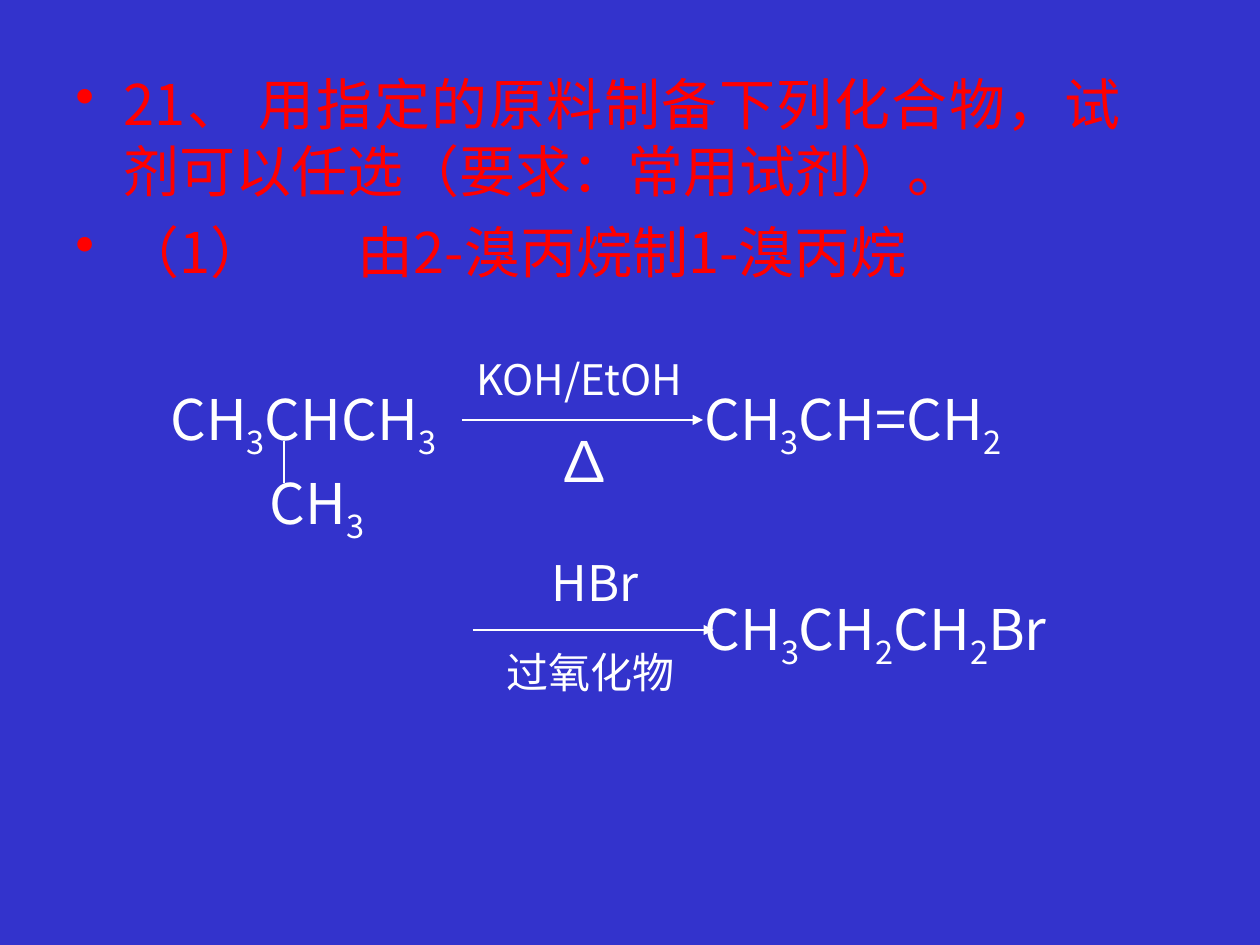
"""Build a slide on preparing 1-bromopropane from 2-bromopropane."""
import itertools

import pptx
import pptx.dml.color
import pptx.enum.shapes
import pptx.enum.text
import pptx.oxml
import pptx.oxml.ns
import pptx.util

EMU_PER_PX = 914400 / 126
BLUE = pptx.dml.color.RGBColor(0x33, 0x33, 0xCC)
RED = pptx.dml.color.RGBColor(0xFF, 0x00, 0x00)
WHITE = pptx.dml.color.RGBColor(0xFF, 0xFF, 0xFF)
FONT_NAME = "Noto Sans CJK SC"
BULLET_INDENT = 48
STATEMENT_TAB = 282

QUESTION = [
    "21、 用指定的原料制备下列化合物，试剂可以任选（要求：常用试剂）。",
    "（1）\t由2-溴丙烷制1-溴丙烷",
]
FORMULAS = [
    ("CH3CHCH3", 158, 378, 292, 89, 32),
    ("CH3CH=CH2", 692, 378, 325, 89, 32),
    ("CH3CH2CH2Br", 692, 588, 370, 89, 32),
    ("CH3", 257, 462, 121, 89, 32),
]
CONDITIONS = [
    ("KOH/EtOH", 464, 347, 233, 63, 24),
    ("∆", 544, 420, 63, 81, 32),
    ("HBr", 539, 546, 113, 72, 28),
    ("过氧化物", 494, 640, 193, 63, 24),
]
REACTION_ARROWS = [(462, 420, 703, 420), (473, 630, 714, 630)]
BRANCH_BOND = (284, 441, 284, 483)


def px(length):
    """Turn pixels into EMU."""
    return pptx.util.Emu(round(length * EMU_PER_PX))


def add_element(parent, tag, **attributes):
    """Append a DrawingML element to a parent."""
    element = pptx.oxml.parse_xml(f"<{tag} {pptx.oxml.ns.nsdecls('a')}/>")
    for name, value in attributes.items():
        element.set(name, value)
    parent.append(element)
    return element


def add_run(paragraph, text, size, color):
    """Add a run and return its properties element."""
    run = paragraph.add_run()
    run.text = text
    run.font.color.rgb = color
    formats = {"size": pptx.util.Pt(size), "name": FONT_NAME}
    for name, value in formats.items():
        setattr(run.font, name, value)
    properties = run._r.get_or_add_rPr()
    add_element(properties, "a:ea", typeface=FONT_NAME)
    return properties


def add_question(slide):
    """Add the bulleted question."""
    frame = slide.shapes.add_textbox(px(63), px(63), px(1071), px(252)).text_frame
    frame.word_wrap = True
    for index, text in enumerate(QUESTION):
        paragraph = frame.add_paragraph() if index else frame.paragraphs[0]
        properties = paragraph._p.get_or_add_pPr()
        properties.set("marL", str(px(BULLET_INDENT)))
        properties.set("indent", str(-px(BULLET_INDENT)))
        bullet_color = add_element(properties, "a:buClr")
        add_element(bullet_color, "a:srgbClr", val=str(RED))
        add_element(properties, "a:buChar", char="•")
        tabs = add_element(properties, "a:tabLst")
        add_element(tabs, "a:tab", pos=str(px(STATEMENT_TAB)), algn="l")
        if index:
            paragraph.space_before = pptx.util.Pt(8)
        else:
            paragraph.alignment = pptx.enum.text.PP_ALIGN.JUSTIFY
        add_run(paragraph, text, 32, RED)


def add_label(slide, text, left, top, width, height, size):
    """Add a chemical label with its digits as subscripts."""
    frame = slide.shapes.add_textbox(px(left), px(top), px(width), px(height)).text_frame
    formats = {"word_wrap": False, "auto_size": pptx.enum.text.MSO_AUTO_SIZE.SHAPE_TO_FIT_TEXT}
    for name, value in formats.items():
        setattr(frame, name, value)
    for is_subscript, characters in itertools.groupby(text, str.isdigit):
        properties = add_run(frame.paragraphs[0], "".join(characters), size, WHITE)
        if is_subscript:
            properties.set("baseline", "-25000")


def add_line(slide, ends, has_arrowhead):
    """Add a thin white line, with an arrowhead if asked."""
    connector = slide.shapes.add_connector(
        pptx.enum.shapes.MSO_CONNECTOR.STRAIGHT, *map(px, ends))
    connector.line.color.rgb = WHITE
    connector.line.width = pptx.util.Pt(0.75)
    if has_arrowhead:
        add_element(connector.line._get_or_add_ln(), "a:tailEnd", type="triangle")
    add_element(connector._element.spPr, "a:effectLst")


def main():
    """Build and save the slide."""
    presentation = pptx.Presentation()
    presentation.slide_width = px(1260)
    presentation.slide_height = px(945)
    slide = presentation.slides.add_slide(presentation.slide_layouts[6])
    slide.background.fill.solid()
    slide.background.fill.fore_color.rgb = BLUE
    add_question(slide)
    for label in FORMULAS + CONDITIONS:
        add_label(slide, *label)
    for arrow in REACTION_ARROWS:
        add_line(slide, arrow, True)
    add_line(slide, BRANCH_BOND, False)
    presentation.save("out.pptx")


if __name__ == "__main__":
    main()
